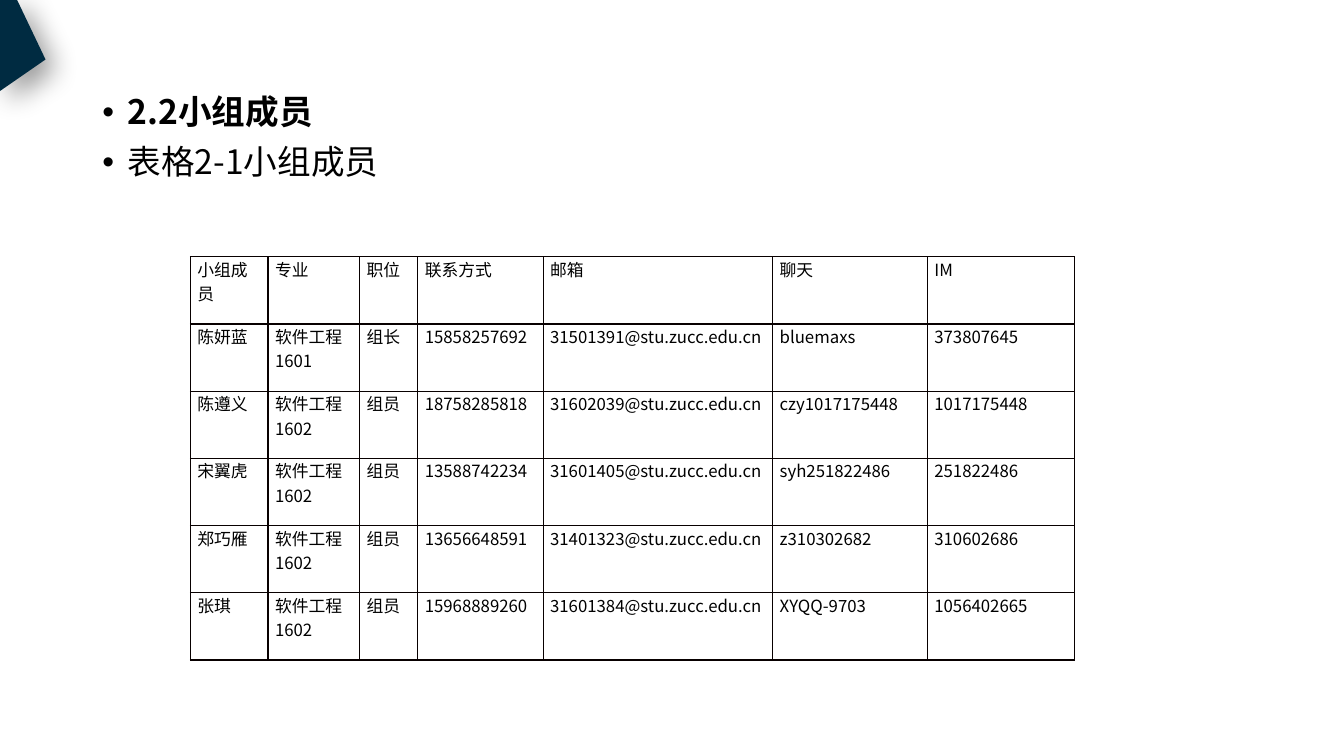
from lxml import etree
from pptx import Presentation
from pptx.dml.color import RGBColor
from pptx.enum import text
from pptx.oxml import ns
from pptx.util import Pt

FONT = "Noto Sans CJK SC"
COLORS = {"text": "000000", "corner": "002B41", "border": "080000"}


def add(parent, tag, **attrs):
    return etree.SubElement(parent, ns.qn(tag), {k: str(v) for k, v in attrs.items()})


def add_run(p, words, size, bold=False):
    r = p.add_run()
    r.text = words
    r.font.size = Pt(size)
    r.font.bold = bold
    r.font.name = FONT
    r.font.color.rgb = RGBColor.from_string(COLORS["text"])
    add(r.font._element, "a:ea", typeface=FONT)


prs = Presentation()
prs.slide_width, prs.slide_height = Pt(960), Pt(540)
s = prs.slides.add_slide(prs.slide_layouts[1])
title = s.shapes.title
title._element.getparent().remove(title._element)

body = s.placeholders[1]
body.left, body.top, body.width, body.height = Pt(66), Pt(64.5), Pt(828), Pt(422)
tf = body.text_frame
tf.word_wrap = True
tf.auto_size = text.MSO_AUTO_SIZE.NONE
tf.vertical_anchor = text.MSO_ANCHOR.TOP
for i, words in enumerate(["2.2小组成员", "表格2-1小组成员"]):
    p = tf.paragraphs[0] if i == 0 else tf.add_paragraph()
    p.line_spacing = 0.9
    p.space_before = Pt(10 if i else 0)
    pPr = p._p.get_or_add_pPr()
    pPr.set("marL", str(Pt(18)))
    pPr.set("indent", str(-Pt(18)))
    add(pPr, "a:buFont", typeface="Arial")
    add(pPr, "a:buChar", char="•")
    add_run(p, words, 24, bold=i == 0)

builder = s.shapes.build_freeform(Pt(12), Pt(-0.5), scale=1.0)
builder.add_line_segments([(Pt(x), Pt(y)) for x, y in [(0, -0.5), (0, 65), (32.5, 42.5)]])
corner = builder.convert_to_shape()
corner.fill.solid()
corner.fill.fore_color.rgb = RGBColor.from_string(COLORS["corner"])
corner.line.fill.background()
effects = add(corner._element.spPr, "a:effectLst")
shadow = add(effects, "a:outerShdw", blurRad=Pt(20), dist=Pt(10), dir=45 * 60000,
             algn="tl", rotWithShape=0)
add(add(shadow, "a:srgbClr", val=COLORS["text"]), "a:alpha", val=40000)

members = [
    ("小组成员", "专业", "职位", "联系方式", "邮箱", "聊天", "IM"),
    ("陈妍蓝", "软件工程1601", "组长", "15858257692", "31501391@stu.zucc.edu.cn", "bluemaxs", "373807645"),
    ("陈遵义", "软件工程1602", "组员", "18758285818", "31602039@stu.zucc.edu.cn", "czy1017175448", "1017175448"),
    ("宋翼虎", "软件工程1602", "组员", "13588742234", "31601405@stu.zucc.edu.cn", "syh251822486", "251822486"),
    ("郑巧雁", "软件工程1602", "组员", "13656648591", "31401323@stu.zucc.edu.cn", "z310302682", "310602686"),
    ("张琪", "软件工程1602", "组员", "15968889260", "31601384@stu.zucc.edu.cn", "XYQQ-9703", "1056402665"),
]
widths = [55.5, 65.5, 41.5, 89.5, 164, 110.5, 105]
frame = s.shapes.add_table(len(members), len(widths), Pt(136), Pt(183.5),
                           Pt(sum(widths)), Pt(48 * len(members)))
table = frame.table
table.first_row = table.horz_banding = False
for column, width in zip(table.columns, widths):
    column.width = Pt(width)
for row, member in zip(table.rows, members):
    row.height = Pt(48)
    for cell, words in zip(row.cells, member):
        cell.margin_left = cell.margin_right = Pt(5)
        cell.margin_top = cell.margin_bottom = 0
        cell.vertical_anchor = text.MSO_ANCHOR.TOP
        add_run(cell.text_frame.paragraphs[0], words, 12)
        tcPr = cell._tc.get_or_add_tcPr()
        for side in ("a:lnL", "a:lnR", "a:lnT", "a:lnB"):
            border = add(tcPr, side, w=Pt(1))
            add(add(border, "a:solidFill"), "a:srgbClr", val=COLORS["border"])
        cell.fill.background()

prs.save("out.pptx")
